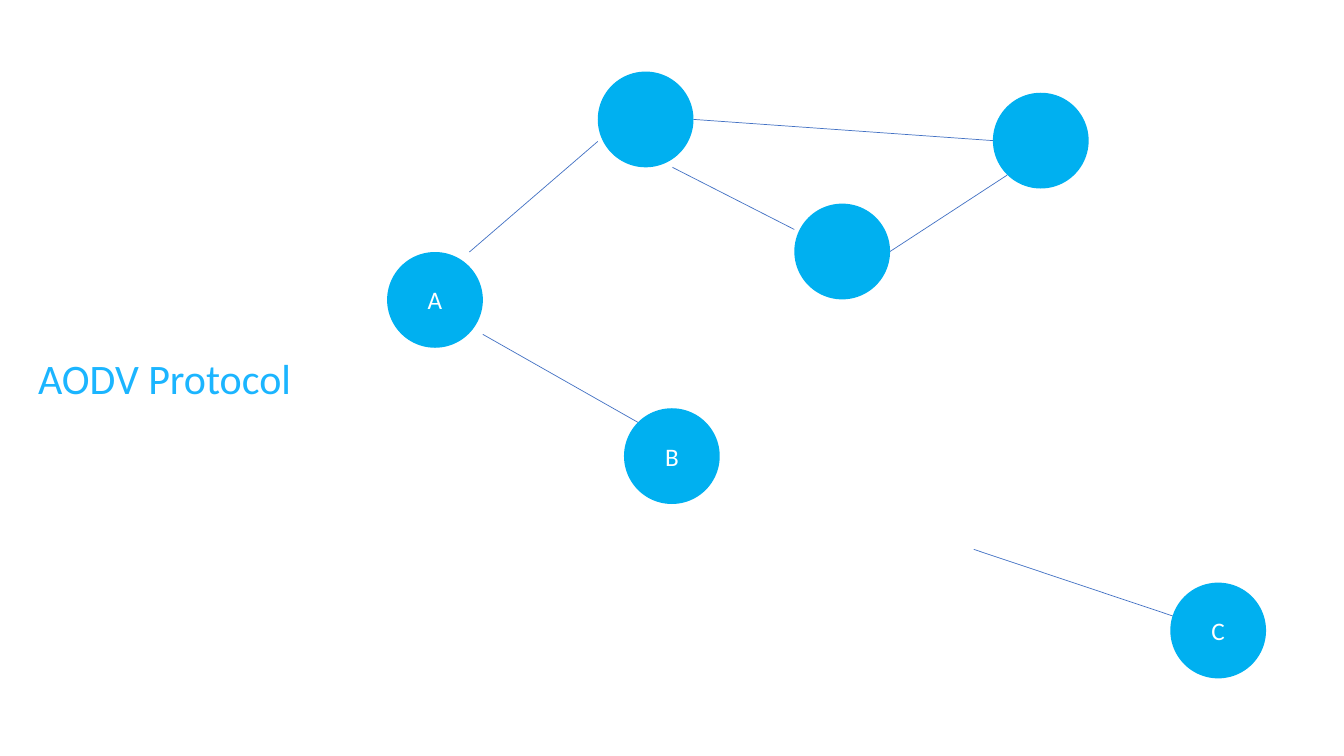
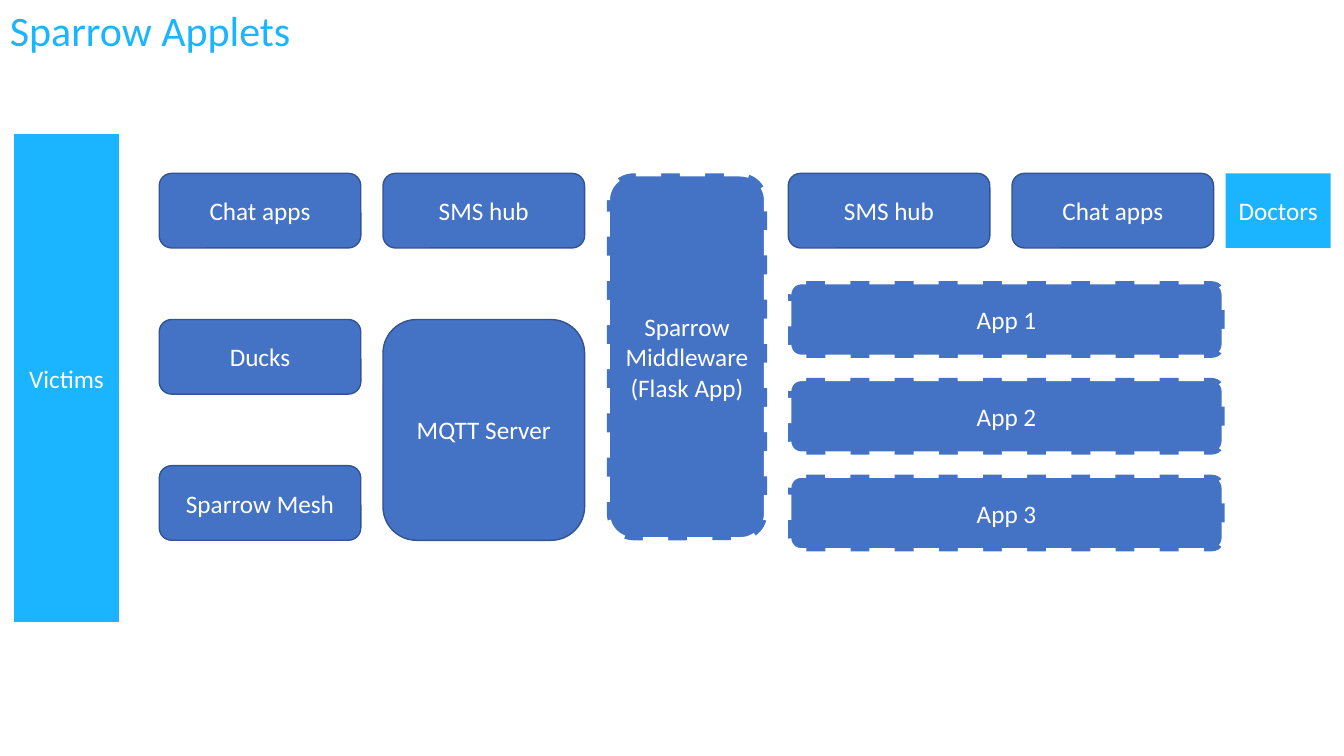
import lxml.etree
import pptx
import pptx.dml.color
import pptx.enum.dml
import pptx.enum.shapes
import pptx.enum.text
import pptx.oxml.ns
import pptx.util

# The grid has square cells, ten to the inch
COLUMNS, ROWS = 133.33, 75
CELL = 0.1

FONT = "Calibri"
COLORS = {
    "accent": "1BB5FF",
    "node": "00B0F0",
    "block": "4472C4",
    "outline": "325491",
    "white": "FFFFFF",
}
SHAPES = pptx.enum.shapes.MSO_SHAPE


def cells(count):
    return pptx.util.Inches(count * CELL)


def color(name):
    return pptx.dml.color.RGBColor.from_string(COLORS[name])


class Deck:
    """Holds the shared style and the slide being drawn."""

    def __init__(self):
        self.presentation = pptx.Presentation()
        self.presentation.slide_width = cells(COLUMNS)
        self.presentation.slide_height = cells(ROWS)
        self.slide = None

    def new_slide(self):
        layout = self.presentation.slide_layouts[6]
        self.slide = self.presentation.slides.add_slide(layout)

    def add_run(self, paragraph, text, size, color_name):
        run = paragraph.add_run()
        run.text = text
        run.font.name = FONT
        run.font.size = pptx.util.Pt(size)
        run.font.color.rgb = color(color_name)

    def title(self, text, column, row, width):
        box = self.slide.shapes.add_textbox(
            cells(column), cells(row), cells(width), cells(6.1))
        frame = box.text_frame
        frame.word_wrap = True
        frame.auto_size = pptx.enum.text.MSO_AUTO_SIZE.SHAPE_TO_FIT_TEXT
        self.add_run(frame.paragraphs[0], text, 30, "accent")

    def shape(self, kind, fill, lines, column, row, width, height):
        """Add a borderless filled shape with centred lines of text."""
        shape = self.slide.shapes.add_shape(
            kind, cells(column), cells(row), cells(width), cells(height))
        shape.shadow.inherit = False
        shape.fill.solid()
        shape.fill.fore_color.rgb = color(fill)
        shape.line.fill.background()
        frame = shape.text_frame
        frame.word_wrap = True
        frame.vertical_anchor = pptx.enum.text.MSO_ANCHOR.MIDDLE
        for index, text in enumerate(lines):
            paragraph = frame.add_paragraph() if index else frame.paragraphs[0]
            paragraph.alignment = pptx.enum.text.PP_ALIGN.CENTER
            self.add_run(paragraph, text, 18, "white")
        return shape

    def node(self, label, column, row, size):
        lines = [label] if label else []
        self.shape(SHAPES.OVAL, "node", lines, column, row, size, size)

    def band(self, text, column, row, width, height):
        self.shape(SHAPES.RECTANGLE, "accent", [text], column, row, width, height)

    def block(self, lines, column, row, width, height, dashed=False):
        shape = self.shape(SHAPES.ROUNDED_RECTANGLE, "block", lines,
                           column, row, width, height)
        shape.line.color.rgb = color("white" if dashed else "outline")
        shape.line.width = pptx.util.Pt(4.5 if dashed else 1)
        if dashed:
            shape.line.dash_style = pptx.enum.dml.MSO_LINE.DASH

    def link(self, start, end):
        connector = self.slide.shapes.add_connector(
            pptx.enum.shapes.MSO_CONNECTOR.STRAIGHT,
            cells(start[0]), cells(start[1]), cells(end[0]), cells(end[1]))
        connector.line.color.rgb = color("block")
        connector.line.width = pptx.util.Pt(0.5)
        lxml.etree.SubElement(connector.element.spPr,
                              pptx.oxml.ns.qn("a:effectLst"))


def draw_protocol(deck):
    deck.new_slide()
    deck.title("AODV Protocol", 2.8, 34.5, 35.6)

    # Nodes: label, column, row
    size = 9.5
    nodes = {
        "a": ("A", 38.4, 25),
        "b": ("B", 61.9, 40.5),
        "c": ("C", 116.1, 57.8),
        "top": ("", 59.3, 7.1),
        "middle": ("", 78.8, 20.2),
        "right": ("", 98.5, 9.2),
    }

    def anchor(name, across, down):
        """Return a point given as shares of a node's box."""
        _, column, row = nodes[name]
        return column + across * size, row + down * size

    # Links lie behind the nodes; the one to C starts in the open
    deck.link((96.6, 54.5), anchor("c", 0.18, 0.4))
    for start, end in (
        (("top", 1, 0.5), ("right", 0, 0.5)),
        (("top", 0.78, 1), ("middle", 0, 0.27)),
        (("middle", 1, 0.5), ("right", 0.15, 0.86)),
        (("a", 0.86, 0), ("top", 0, 0.73)),
        (("a", 1, 0.86), ("b", 0.15, 0.15)),
    ):
        deck.link(anchor(*start), anchor(*end))
    for label, column, row in nodes.values():
        deck.node(label, column, row, size)


def draw_applets(deck):
    deck.new_slide()
    deck.title("Sparrow Applets", 0, 0, 83.4)

    # Block grid
    width, height = 20, 7.4
    column_step, row_step = 22.2, 14.5
    left, top, right = 15.8, 17.2, 78.2
    second = left + column_step
    middle = second + column_step

    # Incoming channels
    for index, text in enumerate(("Chat apps", "Ducks", "Sparrow Mesh")):
        deck.block([text], left, top + index * row_step, width, height)
    deck.block(["SMS hub"], second, top, width, height)
    deck.block(["MQTT Server"], second, top + row_step, width,
               row_step + height)

    # Middleware
    deck.block(["Sparrow Middleware", "(Flask App)"], middle, top, 15.9,
               2 * row_step + height, dashed=True)

    # Outgoing channels and apps
    for index, text in enumerate(("SMS hub", "Chat apps")):
        deck.block([text], right + index * column_step, top, width, height)
    for index in range(3):
        deck.block([f"App {index + 1}"], right, 27.9 + index * 9.6,
                   43.3, 7.6, dashed=True)

    # People at both ends
    deck.band("Victims", 1.4, 13.3, 10.4, 48.4)
    deck.band("Doctors", 121.6, top, 10.4, height)


def main():
    deck = Deck()
    draw_protocol(deck)
    draw_applets(deck)
    deck.presentation.save("out.pptx")


if __name__ == "__main__":
    main()
